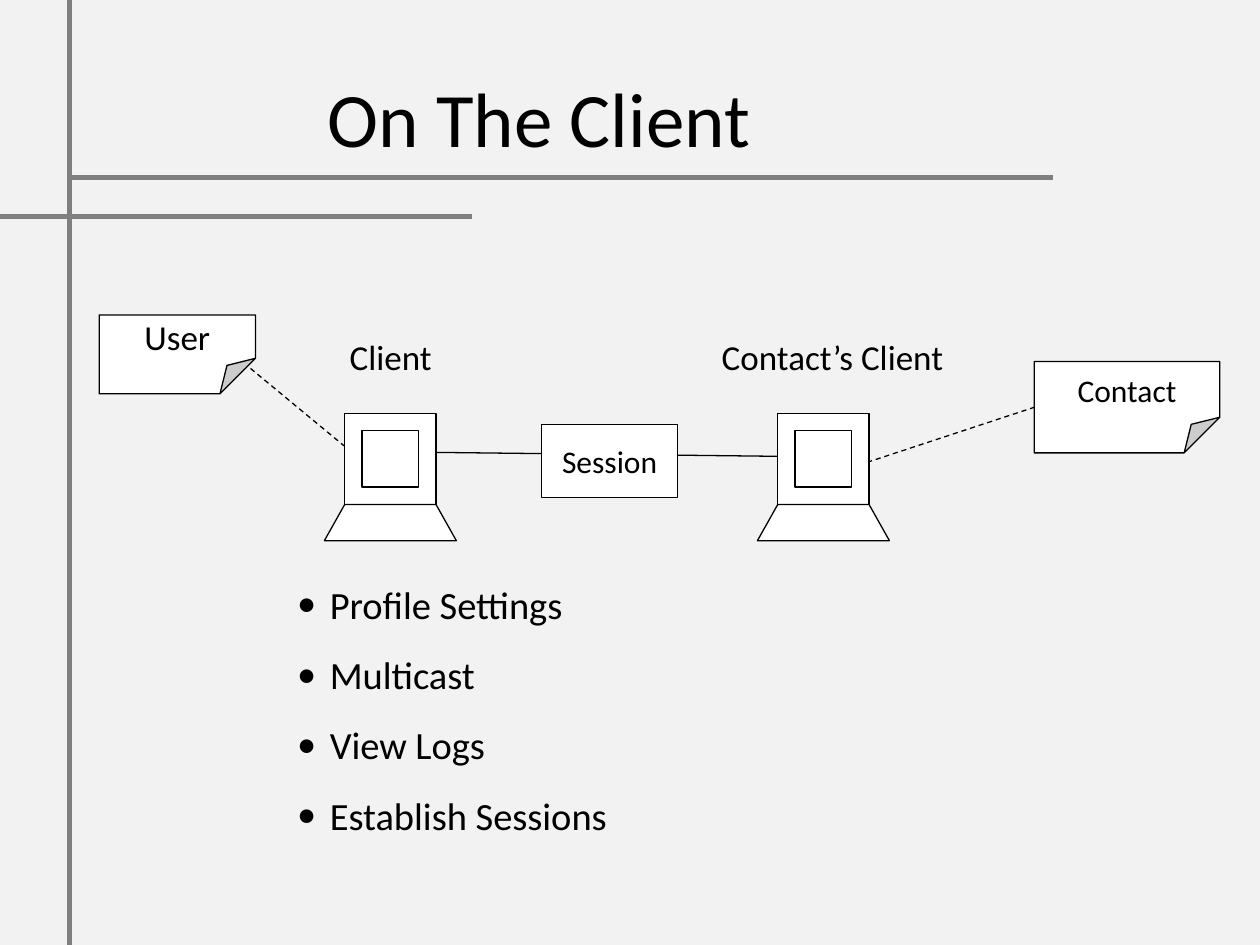
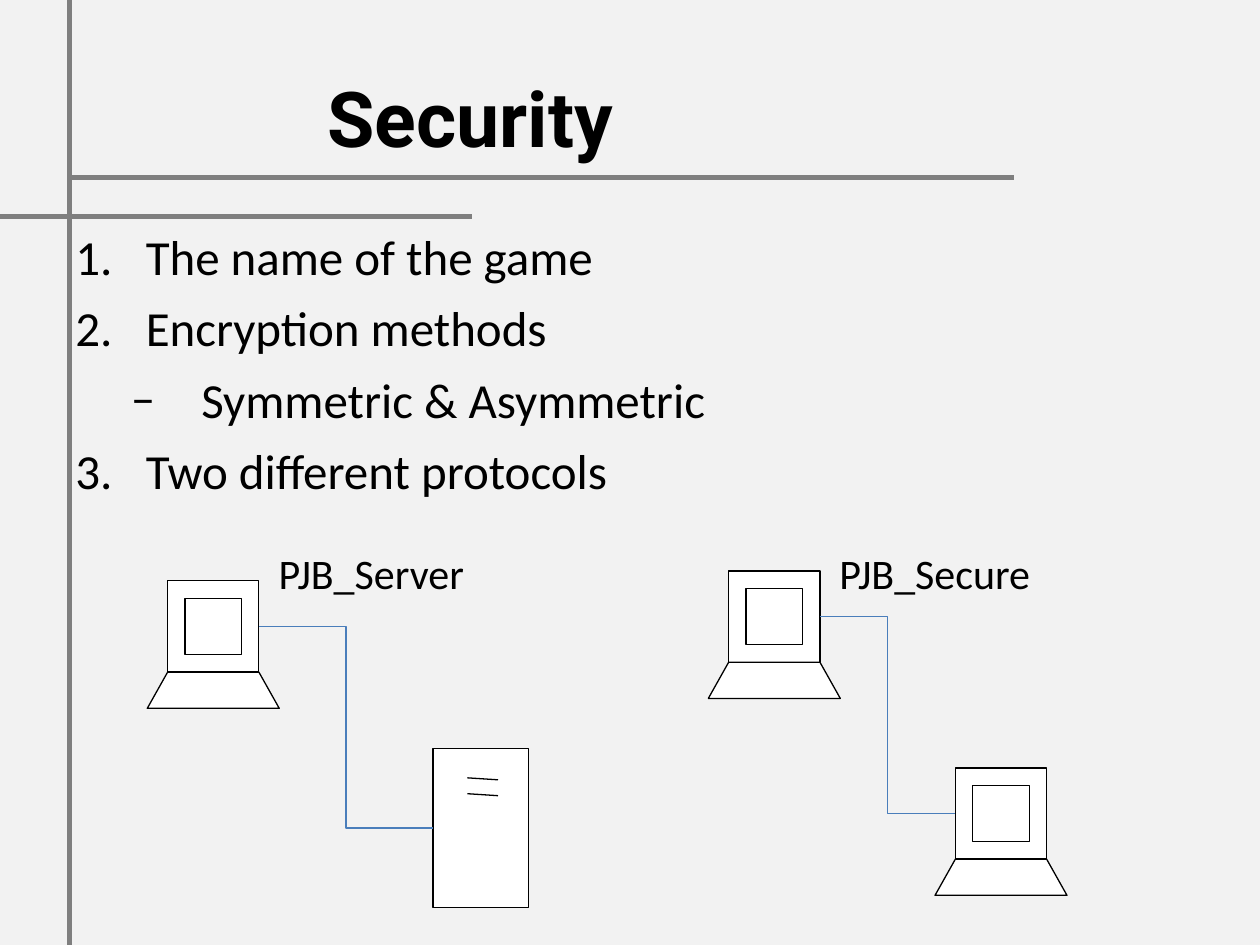
from lxml import etree
from pptx import Presentation
from pptx import util as u
from pptx.dml.color import RGBColor
from pptx.enum import dml, shapes, text
from pptx.oxml import ns

Cm, Pt = u.Cm, u.Pt

BLACK = RGBColor(0x00, 0x00, 0x00)
WHITE = RGBColor(0xFF, 0xFF, 0xFF)
PALE_GREY = RGBColor(0xF2, 0xF2, 0xF2)
RULE_GREY = RGBColor(0x7F, 0x7F, 0x7F)
LINK_BLUE = RGBColor(0x4A, 0x7E, 0xBB)
BODY_FONT = "Calibri"

# All places are in centimetres: left, top, width, height.
SLIDE_WIDTH, SLIDE_HEIGHT = 25.4, 19.05
TITLE_BOX = (6.35, 0.76, 17.78, 3.18)
MARGIN_X, UPPER_RULE_Y, LOWER_RULE_Y, LOWER_RULE_END = 1.4, 3.58, 4.37, 9.52
MONITOR, SCREEN, KEYBOARD_HEIGHT, KEYBOARD_OVERHANG = 1.84, 1.14, 0.73, 0.41

# Bullet kinds: level, left margin, indent, tag, attribute, value
DOT = (0, 1.45, -0.66, "a:buChar", "char", "•")
NUMBER = (0, 1.42, -1.42, "a:buAutoNum", "type", "arabicPeriod")
DASH = (1, 2.54, -1.42, "a:buChar", "char", "–")

CLIENT = {
    "title": ("On The Client", BODY_FONT, False),
    "rule_end": 21.23,
    "labels": [("Client", (6.8, 6.63, 2.35, 1.12)),
               ("Contact’s Client", (14.3, 6.63, 5.7, 1.12))],
    "computers": [(6.95, 8.33), (15.68, 8.33)],
    "user": ("User", (2, 6.35, 3.15, 1.59), 20, 0.45),
    "contact": ("Contact", (20.85, 7.29, 3.74, 1.84), 18, 0.39),
    "session": ("Session", (10.92, 8.56, 2.74, 1.47), 18),
    "user_line": (4.63, 7.08, 6.94, 8.99),
    "session_line": (8.74, 9.12, 15.7, 9.2),
    "contact_line": (17.48, 9.32, 20.85, 8.21),
    "list_box": (4.95, 11.58, 17.78, 5.44),
    "list": [("Profile Settings", DOT), ("Multicast", DOT),
             ("View Logs", DOT), ("Establish Sessions", DOT)],
}

SECURITY = {
    "title": ("Security", "Roboto", True),
    "rule_end": 20.45,
    "list_box": (1.27, 4.45, 22.86, 11.63),
    "list": [("The name of the game", NUMBER), ("Encryption methods", NUMBER),
             ("Symmetric & Asymmetric", DASH),
             ("Two different protocols", NUMBER)],
    "labels": [("PJB_Server", (5.37, 10.92, 5.56, 1.27)),
               ("PJB_Secure", (16.67, 10.92, 5.56, 1.27))],
    "server_client": (3.38, 11.71),
    "server": (8.73, 15.09, 1.92, 3.2),
    "server_slots": [15.68, 16.0],
    "secure_client": (14.69, 11.51),
    "secure_peer": (19.26, 15.48),
}


def lengths(values):
    return [Cm(value) for value in values]


def add_run(paragraph, words, size, font=BODY_FONT, bold=False):
    run = paragraph.add_run()
    run.text = words
    run.font.name, run.font.size, run.font.bold = font, Pt(size), bold
    run.font.color.rgb = BLACK


def outline(shape):
    """Give a shape the white fill and thin black line of the diagrams."""
    shape.shadow.inherit = False
    shape.fill.solid()
    shape.fill.fore_color.rgb = WHITE
    shape.line.color.rgb = BLACK
    shape.line.width = Pt(0.75)


def add_box(parent, box, kind=shapes.MSO_SHAPE.RECTANGLE):
    shape = parent.shapes.add_shape(kind, *lengths(box))
    outline(shape)
    return shape


def set_fold(note, fold):
    """Size the folded corner, which has no entry in note.adjustments."""
    guides = note._element.spPr.find(ns.qn("a:prstGeom")).get_or_add_avLst()
    etree.SubElement(guides, ns.qn("a:gd"), name="adj",
                     fmla=f"val {round(fold * 100000)}")


def add_captioned_box(slide, words, box, size, fold=None):
    """Add a rectangle, or a note when the size of its folded corner is given."""
    kinds = shapes.MSO_SHAPE
    shape = add_box(slide, box, kinds.FOLDED_CORNER if fold else kinds.RECTANGLE)
    if fold:
        set_fold(shape, fold)
    frame = shape.text_frame
    frame.word_wrap = False
    frame.vertical_anchor = text.MSO_ANCHOR.MIDDLE
    frame.paragraphs[0].alignment = text.PP_ALIGN.CENTER
    add_run(frame.paragraphs[0], words, size)
    return shape


def add_line(slide, points, color=BLACK, width=0.75, dashed=False,
             kind=shapes.MSO_CONNECTOR.STRAIGHT):
    line = slide.shapes.add_connector(kind, *lengths(points))
    line.line.color.rgb = color
    line.line.width = Pt(width)
    if dashed:
        line.line.dash_style = dml.MSO_LINE.DASH
    etree.SubElement(line._element.spPr, ns.qn("a:effectLst"))
    return line


def add_elbow(slide, start, end):
    """Link the right side of one shape to the left side of another."""
    elbow = add_line(slide, (0, 0, 1, 1), LINK_BLUE,
                     kind=shapes.MSO_CONNECTOR.ELBOW)
    elbow.begin_connect(start, 3)
    elbow.end_connect(end, 1)


def add_computer(slide, left, top):
    """Add monitor, screen and keyboard as a group; return the monitor."""
    group = slide.shapes.add_group_shape()
    monitor = add_box(group, (left, top, MONITOR, MONITOR))
    inset = (MONITOR - SCREEN) / 2
    add_box(group, (left + inset, top + inset, SCREEN, SCREEN))
    right, upper = left + MONITOR, top + MONITOR
    lower = upper + KEYBOARD_HEIGHT
    corners = [(right, upper), (right + KEYBOARD_OVERHANG, lower),
               (left - KEYBOARD_OVERHANG, lower)]
    builder = group.shapes.build_freeform(Cm(left), Cm(upper))
    builder.add_line_segments([lengths(corner) for corner in corners], close=True)
    outline(builder.convert_to_shape())
    return monitor


def add_text_frame(slide, box):
    frame = slide.shapes.add_textbox(*lengths(box)).text_frame
    frame.word_wrap = True
    return frame


def add_labels(slide, labels, size):
    for words, box in labels:
        add_run(add_text_frame(slide, box).paragraphs[0], words, size)


def add_list(slide, content, size, gap):
    frame = add_text_frame(slide, content["list_box"])
    for index, (words, bullet) in enumerate(content["list"]):
        level, margin, indent, tag, attribute, value = bullet
        paragraph = frame.add_paragraph() if index else frame.paragraphs[0]
        paragraph.level = level
        if index:
            paragraph.space_before = Pt(gap)
        properties = paragraph._p.get_or_add_pPr()
        properties.set("marL", str(Cm(margin)))
        properties.set("indent", str(Cm(indent)))
        etree.SubElement(properties, ns.qn("a:buFont"), typeface=BODY_FONT)
        etree.SubElement(properties, ns.qn(tag), {attribute: value})
        add_run(paragraph, words, size)


def add_titled_slide(presentation, content):
    slide = presentation.slides.add_slide(presentation.slide_layouts[5])
    title = slide.shapes.title
    title.left, title.top, title.width, title.height = lengths(TITLE_BOX)
    frame = title.text_frame
    frame.auto_size = text.MSO_AUTO_SIZE.NONE
    frame.vertical_anchor = text.MSO_ANCHOR.MIDDLE
    frame.paragraphs[0].alignment = text.PP_ALIGN.LEFT
    words, font, bold = content["title"]
    add_run(frame.paragraphs[0], words, 44, font, bold)
    for points in [
        (MARGIN_X, 0, MARGIN_X, SLIDE_HEIGHT),
        (MARGIN_X, UPPER_RULE_Y, content["rule_end"], UPPER_RULE_Y),
        (0, LOWER_RULE_Y, LOWER_RULE_END, LOWER_RULE_Y),
    ]:
        add_line(slide, points, RULE_GREY, 3)
    return slide


def build_client_slide(presentation):
    slide = add_titled_slide(presentation, CLIENT)
    add_labels(slide, CLIENT["labels"], 20)
    add_line(slide, CLIENT["user_line"], dashed=True)
    add_line(slide, CLIENT["session_line"])
    contact_line = add_line(slide, CLIENT["contact_line"], dashed=True)
    for left, top in CLIENT["computers"]:
        add_computer(slide, left, top)
    add_captioned_box(slide, *CLIENT["user"])
    add_captioned_box(slide, *CLIENT["session"])
    contact_line.end_connect(add_captioned_box(slide, *CLIENT["contact"]), 1)
    add_list(slide, CLIENT, 22, 13.8)


def build_security_slide(presentation):
    slide = add_titled_slide(presentation, SECURITY)
    add_list(slide, SECURITY, 28, 7)
    server_client = add_computer(slide, *SECURITY["server_client"])
    server = add_box(slide, SECURITY["server"])
    for slot_y in SECURITY["server_slots"]:
        add_line(slide, (9.42, slot_y, 10.04, slot_y + 0.04))
    add_elbow(slide, server_client, server)
    secure_peer = add_computer(slide, *SECURITY["secure_peer"])
    secure_client = add_computer(slide, *SECURITY["secure_client"])
    add_elbow(slide, secure_client, secure_peer)
    add_labels(slide, SECURITY["labels"], 24)


def main():
    presentation = Presentation()
    presentation.slide_width = Cm(SLIDE_WIDTH)
    presentation.slide_height = Cm(SLIDE_HEIGHT)
    background = presentation.slide_master.background.fill
    background.solid()
    background.fore_color.rgb = PALE_GREY
    build_client_slide(presentation)
    build_security_slide(presentation)
    presentation.save("out.pptx")


if __name__ == "__main__":
    main()
